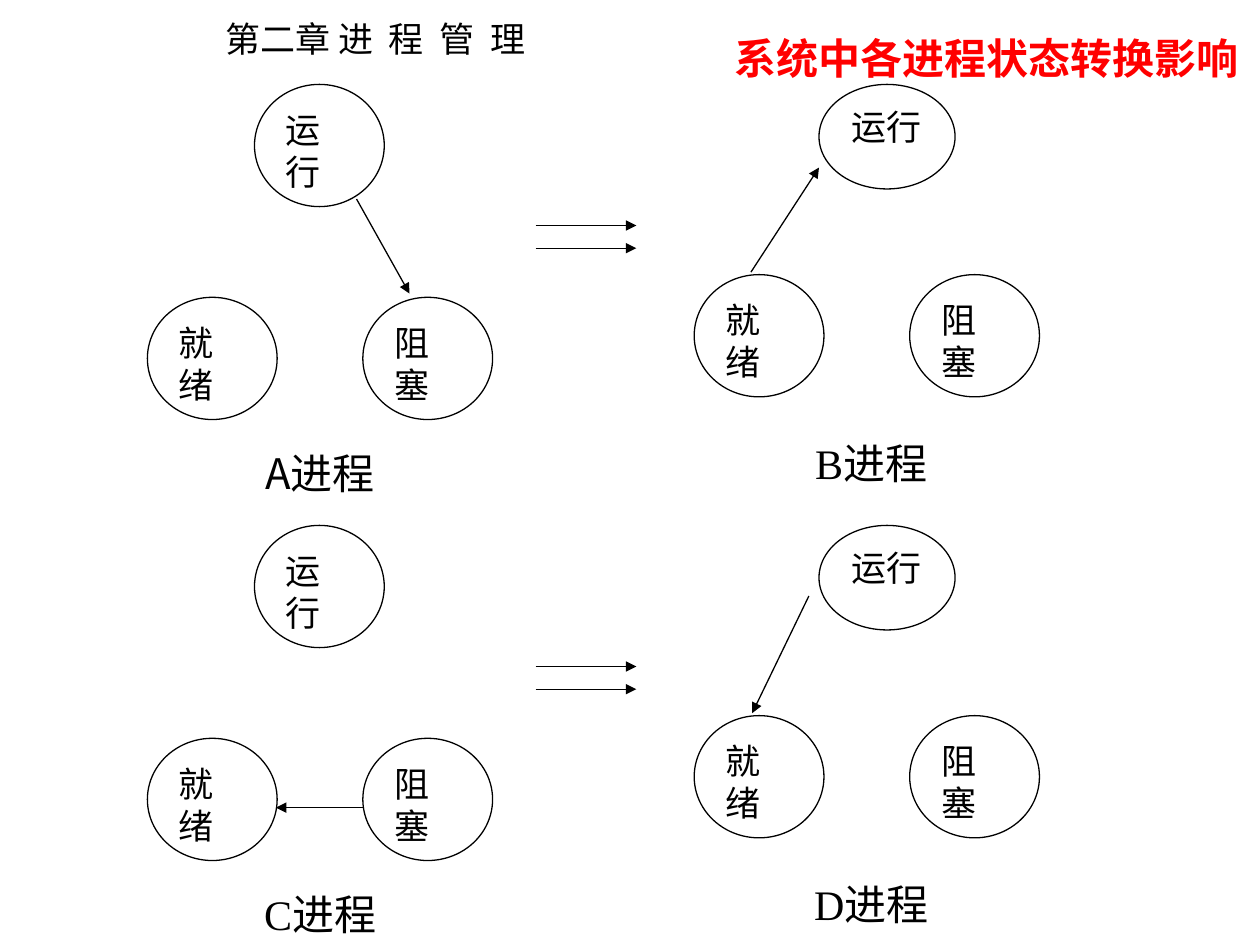
"""Builds a slide showing how state changes in one process affect the others."""
import pptx
import pptx.dml.color
import pptx.enum.shapes
import pptx.enum.text
import pptx.oxml
import pptx.oxml.ns
import pptx.util
from dataclasses import dataclass
from pptx.util import Inches

RGB = pptx.dml.color.RGBColor.from_string
ALIGN = pptx.enum.text.PP_ALIGN
AUTO_SIZE = pptx.enum.text.MSO_AUTO_SIZE
qn = pptx.oxml.ns.qn


@dataclass(frozen=True)
class Theme:
    ink: str = "000000"
    paper: str = "FFFFFF"
    accent: str = "FF0000"
    heading_size: int = 24
    state_size: int = 20
    line_width: float = 0.75
    cjk: str = "Noto Sans CJK SC"
    latin: str = "Times New Roman"


theme = Theme()


def style_run(run, size, face=theme.cjk, color=theme.ink, bold=False):
    run.font.size = pptx.util.Pt(size)
    run.font.name = face
    run.font.bold = bold
    run.font.color.rgb = RGB(color)
    east_asian = pptx.oxml.parse_xml(
        f'<a:ea xmlns:a="http://schemas.openxmlformats.org/drawingml/2006/main" typeface="{theme.cjk}"/>')
    run.font._element.find(qn("a:latin")).addnext(east_asian)


def add_arrow(shapes, start_x, start_y, end_x, end_y):
    arrow = shapes.add_connector(
        pptx.enum.shapes.MSO_CONNECTOR.STRAIGHT,
        Inches(start_x), Inches(start_y), Inches(end_x), Inches(end_y))
    arrow.line.color.rgb = RGB(theme.ink)
    arrow.line.width = pptx.util.Pt(theme.line_width)
    arrow.line._get_or_add_ln().append(arrow._element.makeelement(qn("a:tailEnd"), {"type": "triangle"}))
    arrow._element.spPr.append(arrow._element.makeelement(qn("a:effectLst"), {}))


presentation = pptx.Presentation()
presentation.slide_width = Inches(10)
presentation.slide_height = Inches(7.5)
slide = presentation.slides.add_slide(presentation.slide_layouts[5])

chapter = slide.shapes.add_textbox(Inches(1.69), Inches(0.09), Inches(2.64), Inches(0.44))
chapter.text_frame.word_wrap = False
chapter.text_frame.auto_size = AUTO_SIZE.SHAPE_TO_FIT_TEXT
for words, spacing in (("第二章 ", 0), ("进 程 管 理", 220)):
    run = chapter.text_frame.paragraphs[0].add_run()
    run.text = words
    style_run(run, theme.state_size)
    run.font._element.set("spc", str(spacing))

title = slide.shapes.title
title.left, title.top, title.width, title.height = Inches(3.58), Inches(0.21), Inches(8.5), Inches(0.5)
title.text_frame.text = "系统中各进程状态转换影响"
title.text_frame.auto_size = AUTO_SIZE.NONE
title.text_frame.vertical_anchor = pptx.enum.text.MSO_ANCHOR.MIDDLE
title.text_frame.paragraphs[0].alignment = ALIGN.CENTER
style_run(title.text_frame.paragraphs[0].runs[0], theme.heading_size, color=theme.accent, bold=True)

states = [
    ("运行", 2.02, 0.67, 1.03, 0.97, theme.latin),
    ("阻塞", 2.88, 2.36, 1.03, 0.97, theme.cjk),
    ("就绪", 1.17, 2.36, 1.03, 0.97, theme.latin),
    ("运行", 6.5, 0.67, 1.08, 0.83, theme.latin),
    ("阻塞", 7.22, 2.18, 1.03, 0.97, theme.cjk),
    ("就绪", 5.51, 2.18, 1.03, 0.97, theme.latin),
]
label_places = [(1.75, 3.5, 1.58), (6.08, 3.42, 1.67)]
implications = [(4.25, 1.79, 5.05, 1.79), (4.25, 1.97, 5.05, 1.97)]
row_pitch = 3.5
rows = [
    ([("A", theme.cjk), ("B", theme.latin)],
     [(2.83, 1.58, 3.25, 2.33), (5.96, 2.16, 6.5, 1.33)]),
    ([("C", theme.latin), ("D", theme.latin)],
     [(2.88, 2.91, 2.19, 2.91), (6.42, 1.23, 5.97, 2.16)]),
]

for row, (processes, transitions) in enumerate(rows):
    offset = row * row_pitch
    diagram = slide.shapes.add_group_shape().shapes

    for name, left, top, width, height, face in states:
        state = diagram.add_shape(
            pptx.enum.shapes.MSO_SHAPE.OVAL,
            Inches(left), Inches(top + offset), Inches(width), Inches(height))
        state.shadow.inherit = False
        state.fill.solid()
        state.fill.fore_color.rgb = RGB(theme.paper)
        state.line.color.rgb = RGB(theme.ink)
        state.line.width = pptx.util.Pt(theme.line_width)
        state.text_frame.text = name
        state.text_frame.word_wrap = True
        state.text_frame.vertical_anchor = pptx.enum.text.MSO_ANCHOR.TOP
        state.text_frame.paragraphs[0].alignment = ALIGN.JUSTIFY
        style_run(state.text_frame.paragraphs[0].runs[0], theme.state_size, face)

    for start_x, start_y, end_x, end_y in implications + transitions:
        add_arrow(diagram, start_x, start_y + offset, end_x, end_y + offset)

    for (letter, face), (left, top, width) in zip(processes, label_places):
        label = diagram.add_textbox(Inches(left), Inches(top + offset), Inches(width), Inches(0.5))
        label.text_frame.word_wrap = True
        label.text_frame.auto_size = AUTO_SIZE.SHAPE_TO_FIT_TEXT
        caption = label.text_frame.paragraphs[0]
        caption.alignment = ALIGN.CENTER
        for words, run_face in ((letter, face), ("进程", theme.cjk)):
            run = caption.add_run()
            run.text = words
            style_run(run, theme.heading_size, run_face)

presentation.save("out.pptx")
